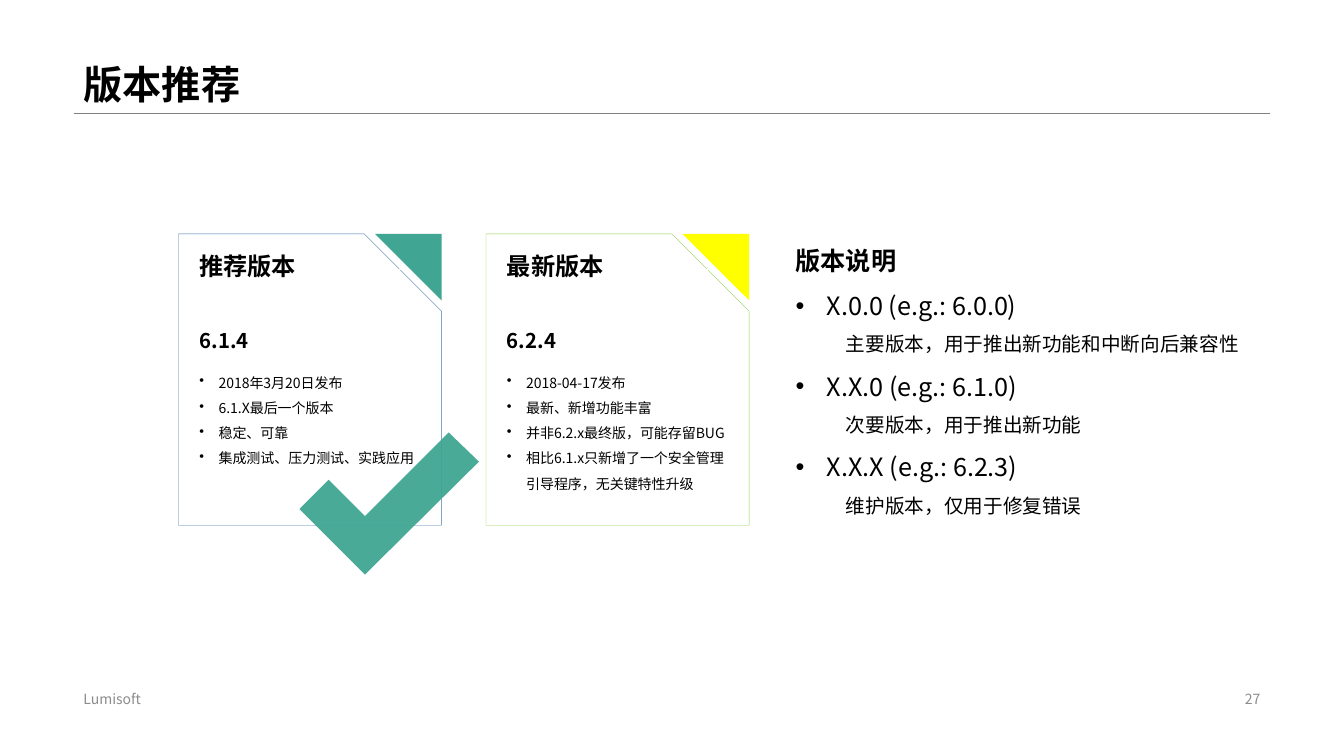
import dataclasses
import lxml.etree
import pptx
import pptx.dml.color
import pptx.enum.shapes
import pptx.enum.text
import pptx.oxml.ns
import pptx.util

PX = 9144  # EMU in one px, 100 px to the inch
SHAPE = pptx.enum.shapes.MSO_SHAPE
ANCHOR = pptx.enum.text.MSO_ANCHOR
ALIGN = pptx.enum.text.PP_ALIGN
FIT = pptx.enum.text.MSO_AUTO_SIZE
qn = pptx.oxml.ns.qn


@dataclasses.dataclass(frozen=True)
class Theme:
    font: str = "Noto Sans CJK SC"
    ink: str = "000000"
    paper: str = "FFFFFF"
    rule: str = "808080"
    muted: str = "8C8C8C"
    blue: str = "4276AA"
    green: str = "92D050"
    teal: str = "40A693"
    yellow: str = "FFFF00"
    title: float = 28
    head: float = 18
    card: float = 17.3
    build: float = 14.5
    body: float = 14
    small: float = 10


THEME = Theme()


def emu(*values):
    return [round(v * PX) for v in values]


def rgb(code):
    return pptx.dml.color.RGBColor.from_string(code)


def apply(target, values):
    for name, value in values.items():
        setattr(target, name, value)


def place(shape, box):
    apply(shape, dict(zip(("left", "top", "width", "height"), emu(*box))))


# Text
def frame(shape, **more):
    values = dict(word_wrap=True, auto_size=FIT.NONE, vertical_anchor=ANCHOR.TOP)
    apply(shape.text_frame, values | more)
    return shape.text_frame


def write(para, text, size, color=THEME.ink, bold=False, **more):
    apply(para, dict(alignment=ALIGN.LEFT, space_before=pptx.util.Pt(0)) | more)
    run = para.add_run()
    run.text = text
    apply(run.font, dict(name=THEME.font, size=pptx.util.Pt(size), bold=bold))
    run.font.color.rgb = rgb(color)
    face = lxml.etree.SubElement(run.font._element, qn("a:ea"))
    face.set("typeface", THEME.font)


def indent(para, left, first, bullet=False):
    props = para._p.get_or_add_pPr()
    for name, value in zip(("marL", "indent"), emu(left, first)):
        props.set(name, str(value))
    mark = lxml.etree.SubElement(props, qn("a:buChar" if bullet else "a:buNone"))
    if bullet:
        mark.set("char", "•")


def label(parts, box, text, size, **more):
    block = frame(parts.add_textbox(*emu(*box)), vertical_anchor=ANCHOR.MIDDLE)
    write(block.paragraphs[0], text, size, **more)


# Shapes
def paint(shape, fill, line=None):
    shape.shadow.inherit = False
    shape.fill.solid()
    shape.fill.fore_color.rgb = rgb(fill)
    if line:
        shape.line.color.rgb = rgb(line)
        shape.line.width = pptx.util.Pt(0.25)
    else:
        shape.line.fill.background()


def outline(parts, points, fill):
    pen = parts.build_freeform(*points[0], scale=PX)
    pen.add_line_segments(points[1:], close=True)
    shape = pen.convert_to_shape()
    paint(shape, fill)
    return shape


def rule(parts, x, y, width, color, weight):
    line = parts.add_connector(
        pptx.enum.shapes.MSO_CONNECTOR.STRAIGHT, *emu(x, y, x + width, y))
    line.line.color.rgb = rgb(color)
    line.line.width = pptx.util.Pt(weight)
    lxml.etree.SubElement(line._element.spPr, qn("a:effectLst"))


# Regions
def header(slide, box, text):
    x, y, w, h = box
    title = slide.shapes.title
    place(title, box)
    block = frame(title, vertical_anchor=ANCHOR.BOTTOM)
    write(block.paragraphs[0], text, THEME.title, bold=True, line_spacing=0.9)
    rule(slide.shapes, x, y + h, w, THEME.rule, 0.25)


def footer(slide, box, name, number):
    x, y, w, h = box
    label(slide.shapes, (x, y, 453, h), name, THEME.small, color=THEME.muted)
    label(slide.shapes, (x + w - 318, y, 318, h), number, THEME.small,
          color=THEME.muted, alignment=ALIGN.RIGHT)


def card(slide, box, head, build, items, edge, accent):
    x, y, w, h = box
    parts = slide.shapes.add_group_shape().shapes
    panel = parts.add_shape(SHAPE.SNIP_1_RECTANGLE, *emu(*box))
    panel.adjustments[0] = 0.294
    paint(panel, THEME.paper, edge)
    rule(parts, x + 32, y + 35, w - 63, THEME.paper, 0.5)
    side, right = 66, x + w
    outline(parts, [(right, y), (right - side, y), (right, y + side)], accent)
    # Heading, version number and list
    left, wide = x + 11, w - 21
    label(parts, (left, y + 14, wide, 36), head, THEME.card, bold=True)
    label(parts, (left, y + 90, wide, 31), build, THEME.build, bold=True)
    block = frame(parts.add_textbox(*emu(left, y + 126, wide, 150)))
    for number, text in enumerate(items):
        para = block.add_paragraph() if number else block.paragraphs[0]
        indent(para, 19, -19, bullet=True)
        write(para, text, THEME.small, line_spacing=1.5)


def notes(slide, box, head, rules):
    body = slide.placeholders[1]
    place(body, box)
    block = frame(body, auto_size=FIT.SHAPE_TO_FIT_TEXT)
    first = block.paragraphs[0]
    indent(first, 0, 0)
    write(first, head, THEME.head, bold=True, line_spacing=1.5)
    for form, use in rules:
        para = block.add_paragraph()
        indent(para, 31, -31, bullet=True)
        write(para, form, THEME.head, line_spacing=1.5)
        para = block.add_paragraph()
        indent(para, 0, 50)
        write(para, use, THEME.body, line_spacing=1.5)


def check(slide, x, y):
    turns = [(148, 0), (65, 83), (29, 47), (0, 76), (65, 141), (178, 29)]
    tick = outline(slide.shapes, [(x + a, y + b) for a, b in turns], THEME.teal)
    color = tick._element.spPr.find(".//" + qn("a:srgbClr"))
    lxml.etree.SubElement(color, qn("a:alpha")).set("val", "95000")


def main():
    deck = pptx.Presentation()
    deck.slide_width, deck.slide_height = emu(1333, 750)
    slide = deck.slides.add_slide(deck.slide_layouts[1])
    header(slide, (73, 0, 1187, 112), "版本推荐")
    footer(slide, (73, 682, 1187, 23), "Lumisoft", "27")
    cards = [
        ("推荐版本", "6.1.4",
         ["2018年3月20日发布", "6.1.X最后一个版本", "稳定、可靠",
          "集成测试、压力测试、实践应用"], THEME.blue, THEME.teal),
        ("最新版本", "6.2.4",
         ["2018-04-17发布", "最新、新增功能丰富", "并非6.2.x最终版，可能存留BUG",
          "相比6.1.x只新增了一个安全管理引导程序，无关键特性升级"],
         THEME.green, THEME.yellow),
    ]
    for number, content in enumerate(cards):
        card(slide, (177 + 305 * number, 232, 261, 289), *content)
    notes(slide, (779, 223, 472, 294), "版本说明", [
        ("X.0.0 (e.g.: 6.0.0)", "主要版本，用于推出新功能和中断向后兼容性"),
        ("X.X.0 (e.g.: 6.1.0)", "次要版本，用于推出新功能"),
        ("X.X.X (e.g.: 6.2.3)", "维护版本，仅用于修复错误"),
    ])
    check(slide, 297, 429)
    deck.save("out.pptx")


if __name__ == "__main__":
    main()
